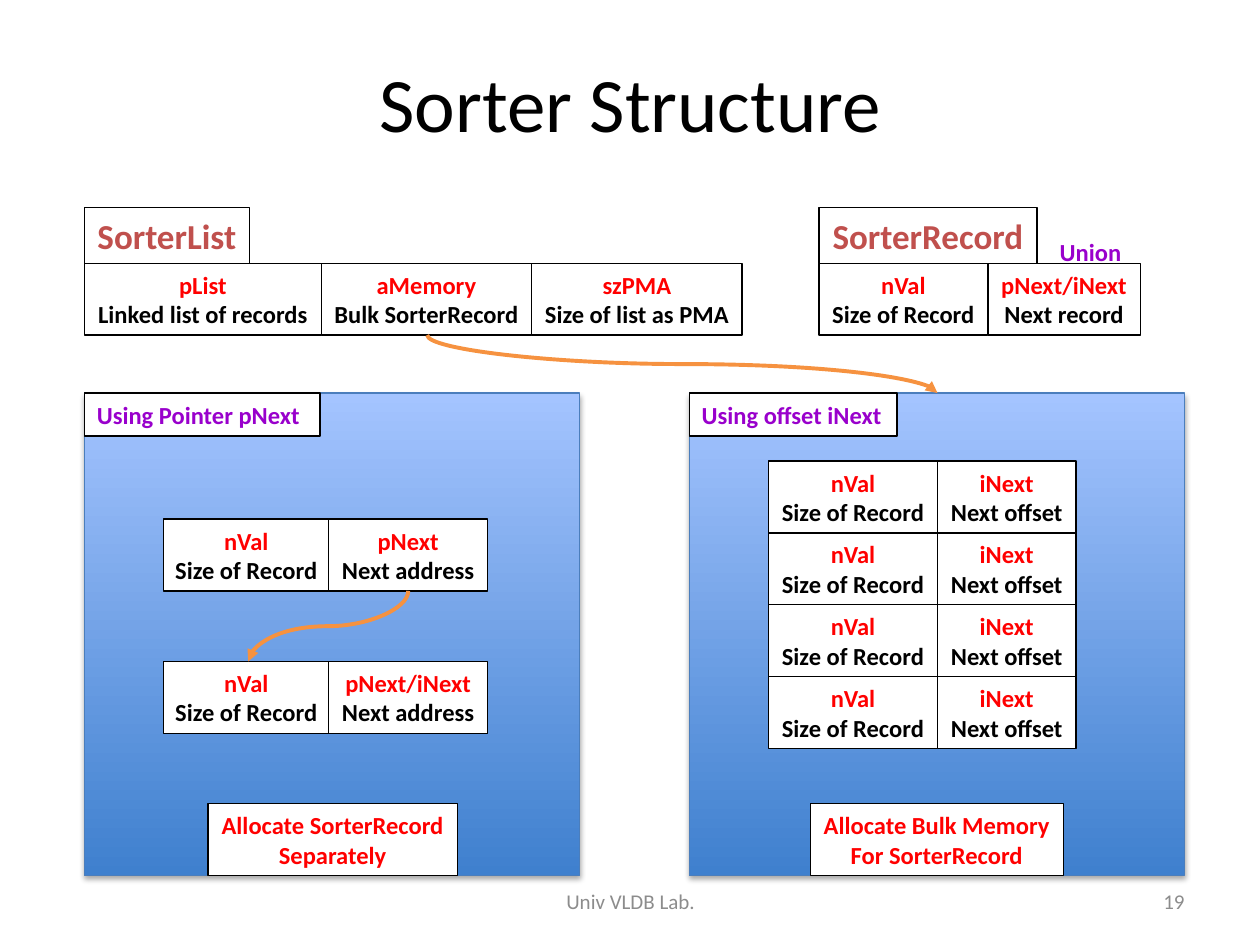
from pptx import Presentation
from pptx.dml.color import RGBColor
from pptx.enum.dml import MSO_THEME_COLOR
from pptx.enum.shapes import MSO_CONNECTOR, MSO_SHAPE
from pptx.enum.text import MSO_ANCHOR, MSO_AUTO_SIZE, PP_ALIGN
from pptx.oxml import parse_xml
from pptx.oxml.ns import nsdecls
from pptx.util import Inches, Pt

CURVE, RECT = MSO_CONNECTOR.CURVE, MSO_SHAPE.RECTANGLE
LEFT, CENTER, RIGHT = PP_ALIGN.LEFT, PP_ALIGN.CENTER, PP_ALIGN.RIGHT
MIDDLE, FIXED = MSO_ANCHOR.MIDDLE, MSO_AUTO_SIZE.NONE
BLACK = MSO_THEME_COLOR.TEXT_1

THEME = dict(
    font="Calibri", ink="000000", paper="FFFFFF", field="FF0000", struct="C0504D",
    mode="9900CC", footer="8C8C8C", arrow="F69240", panel_line="4B7EBC",
    panel_bottom="3F80CE", panel_top="A4C4FF",
    title_size=44, struct_size=20, text_size=14, footer_size=12,
)

# Content
TITLE = "Sorter Structure"
N_VAL = ("nVal", "Size of Record", 1.34)
I_NEXT = ("iNext", "Next offset", 1.1)
STRUCTS = [  # left, name, name width, fields (name, meaning, width)
    (0.67, "SorterList", 1.31, [("pList", "Linked list of records", 1.88),
                                ("aMemory", "Bulk SorterRecord", 1.67),
                                ("szPMA", "Size of list as PMA", 1.67)]),
    (6.5, "SorterRecord", 1.73, [N_VAL, ("pNext/iNext", "Next record", 1.21)]),
]
POINTER_VAL = ("nVal", "Size of Record", 1.31)
PANELS = [  # left, mode, mode width, summary lines, summary left and width, rows
    dict(left=0.67, mode="Using Pointer pNext", mode_width=1.87,
         summary=("Allocate SorterRecord", "Separately"), summary_at=(1.65, 1.98),
         rows_left=1.3, rows_top=4.12, step=1.13,
         rows=[[POINTER_VAL, ("pNext", "Next address", 1.26)],
               [POINTER_VAL, ("pNext/iNext", "Next address", 1.26)]]),
    dict(left=5.47, mode="Using offset iNext", mode_width=1.65,
         summary=("Allocate Bulk Memory", "For SorterRecord"), summary_at=(6.43, 2.01),
         rows_left=6.1, rows_top=3.66, step=0.57,
         rows=[[N_VAL, I_NEXT]] * 4),
]
ARROWS = [((3.24, 4.69), (1.97, 5.25)), ((3.39, 2.66), (7.44, 3.12))]

STRUCT_TOP, STRUCT_HEIGHT = 1.65, 0.44
CELL_HEIGHT, LABEL_HEIGHT = 0.57, 0.34
PANEL_TOP, PANEL_WIDTH, PANEL_HEIGHT = 3.12, 3.93, 3.83


def rgb(name):
    return RGBColor.from_string(THEME[name])


def write(frame, lines, colors, size="text_size", bold=True, align=CENTER):
    """Put one paragraph per line into a text frame."""
    frame.vertical_anchor = MIDDLE
    for index, (line, color) in enumerate(zip(lines, colors)):
        para = frame.paragraphs[0] if index == 0 else frame.add_paragraph()
        para.alignment = align
        span = para.add_run()
        span.text = line
        span.font.name, span.font.size = THEME["font"], Pt(THEME[size])
        span.font.bold, span.font.color.rgb = bold, rgb(color)


def add_box(left, top, width, height, lines, colors, framed=True, **text_format):
    box = page.shapes.add_textbox(*map(Inches, (left, top, width, height)))
    box.text_frame.word_wrap = False
    box.text_frame.auto_size = FIXED
    if framed:
        box.fill.solid()
        box.fill.fore_color.rgb = rgb("paper")
        box.line.color.rgb = rgb("ink")
        box.line.width = Pt(0.75)
    write(box.text_frame, lines, colors, **text_format)


def add_record(left, top, fields):
    """Lay fields side by side."""
    for name, meaning, width in fields:
        add_box(left, top, width, CELL_HEIGHT, (name, meaning), ("field", "ink"))
        left += width


def add_panel(left):
    panel = page.shapes.add_shape(
        RECT, *map(Inches, (left, PANEL_TOP, PANEL_WIDTH, PANEL_HEIGHT)))
    panel.fill.gradient()
    panel.fill.gradient_angle = 90
    for stop, color in zip(panel.fill.gradient_stops, ("panel_bottom", "panel_top")):
        stop.color.rgb = rgb(color)
    panel.line.color.rgb = rgb("panel_line")
    panel.line.width = Pt(0.75)
    panel.element.spPr.append(parse_xml(
        f'<a:effectLst {nsdecls("a")}><a:outerShdw blurRad="40000" dist="23000" '
        'dir="5400000" rotWithShape="0"><a:srgbClr val="000000">'
        '<a:alpha val="35000"/></a:srgbClr></a:outerShdw></a:effectLst>'))


def add_arrow(start, end):
    """Draw a curve that leaves and arrives vertically: a turned connector."""
    (x1, y1), (x2, y2) = start, end
    drop, span = y2 - y1, abs(x2 - x1)
    left, top = (x1 + x2 - drop) / 2, (y1 + y2 - span) / 2
    arrow = page.shapes.add_connector(
        CURVE, *map(Inches, (left, top, left + drop, top + span)))
    arrow.line.color.rgb = rgb("arrow")
    arrow.line.width = Pt(2.25)
    properties = arrow.element.spPr
    if x2 > x1:
        properties.xfrm.set("rot", "16200000")
        properties.xfrm.set("flipH", "1")
    else:
        properties.xfrm.set("rot", "5400000")
    arrow.line._get_or_add_ln().append(
        parse_xml(f'<a:tailEnd {nsdecls("a")} type="triangle"/>'))
    properties.append(parse_xml(f'<a:effectLst {nsdecls("a")}/>'))


deck = Presentation()
deck.slide_width, deck.slide_height = Inches(10), Inches(7.5)
page = deck.slides.add_slide(deck.slide_layouts[5])

# Title and footer
title = page.shapes.title
title.left, title.top, title.width, title.height = map(Inches, (0.67, 0.3, 8.67, 1.02))
write(title.text_frame, [TITLE], ["ink"], size="title_size", bold=False)
for left, width, text, align in [(3.42, 3.17, "Univ VLDB Lab.", CENTER),
                                 (7.17, 2.33, "19", RIGHT)]:
    add_box(left, 6.95, width, 0.4, [text], ["footer"], framed=False,
            size="footer_size", bold=False, align=align)

# Structure definitions
for left, name, width, fields in STRUCTS:
    add_box(left, STRUCT_TOP, width, STRUCT_HEIGHT, [name], ["struct"], size="struct_size")
    add_record(left, STRUCT_TOP + STRUCT_HEIGHT, fields)
add_box(8.31, 1.83, 0.69, LABEL_HEIGHT, ["Union"], ["mode"], framed=False)

# Memory panels
for panel in PANELS:
    add_panel(panel["left"])
    add_box(panel["left"], PANEL_TOP, panel["mode_width"], LABEL_HEIGHT,
            [panel["mode"]], ["mode"], align=LEFT)
    for index, fields in enumerate(panel["rows"]):
        add_record(panel["rows_left"], panel["rows_top"] + index * panel["step"], fields)
    summary_left, summary_width = panel["summary_at"]
    add_box(summary_left, PANEL_TOP + PANEL_HEIGHT - CELL_HEIGHT, summary_width,
            CELL_HEIGHT, panel["summary"], ("field", "field"))

# Links
for start, end in ARROWS:
    add_arrow(start, end)

deck.save("out.pptx")
